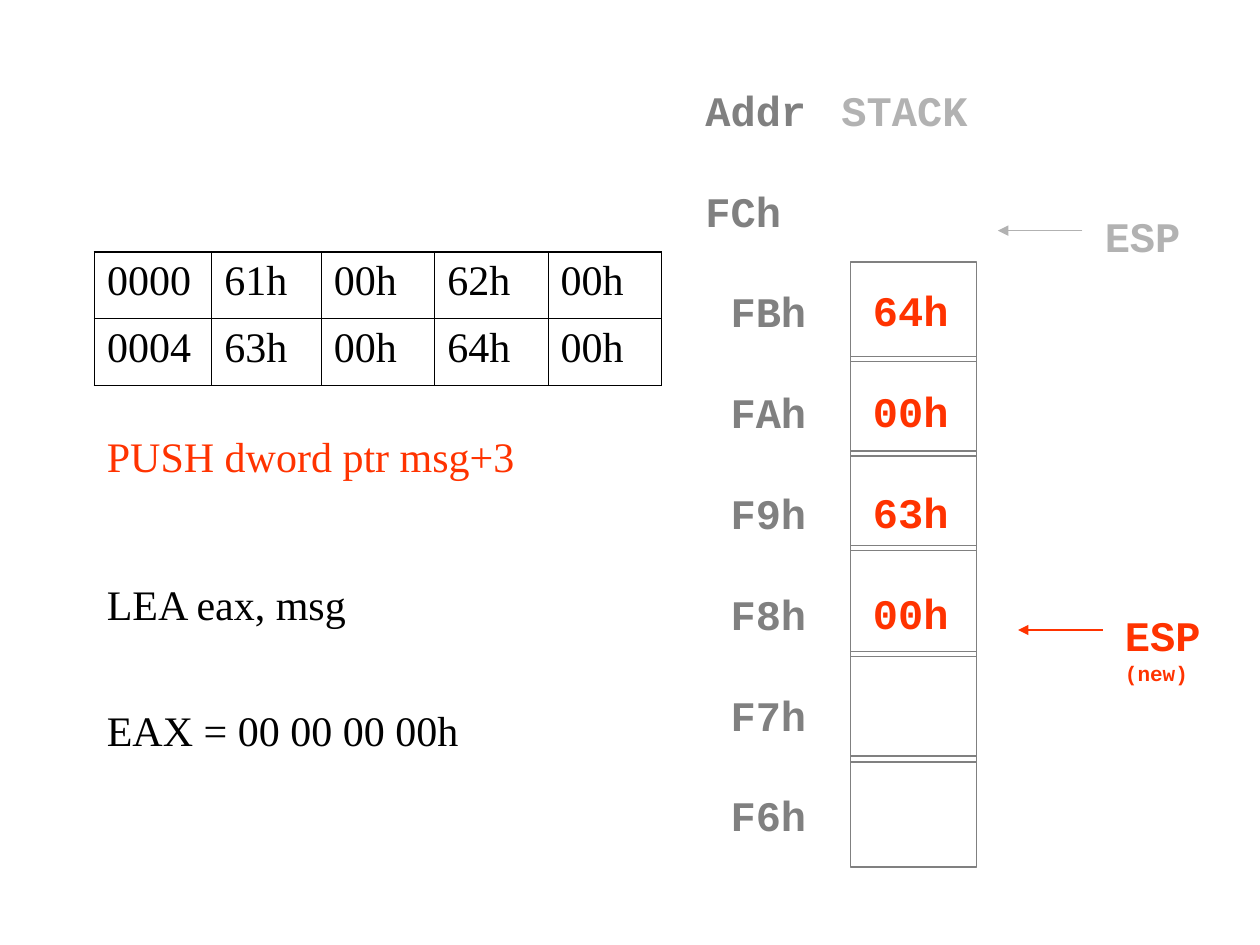
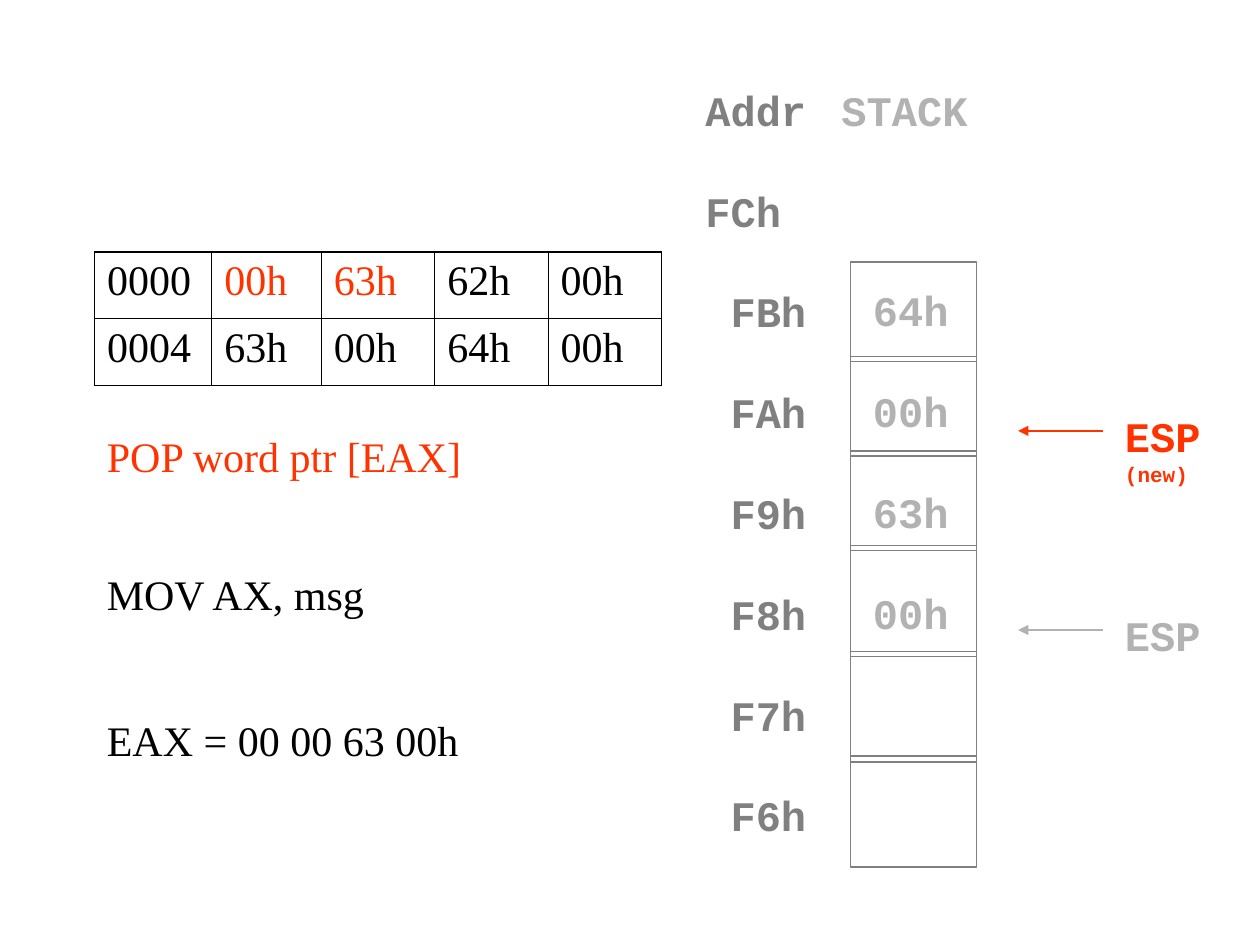
from dataclasses import dataclass

from lxml import etree
from pptx import Presentation
from pptx.dml.color import RGBColor
from pptx.enum.shapes import MSO_CONNECTOR, MSO_SHAPE
from pptx.oxml.ns import qn
from pptx.util import Inches, Pt

STRAIGHT = MSO_CONNECTOR.STRAIGHT
RECTANGLE = MSO_SHAPE.RECTANGLE


@dataclass(frozen=True)
class Theme:
    black: RGBColor = RGBColor(0x00, 0x00, 0x00)
    gray: RGBColor = RGBColor(0x80, 0x80, 0x80)
    faded: RGBColor = RGBColor(0xB2, 0xB2, 0xB2)
    accent: RGBColor = RGBColor(0xFF, 0x33, 0x00)
    serif: str = "Times New Roman"
    mono: str = "Courier New"
    body: int = 24
    small: int = 12
    line: float = 1
    outer_border: float = 1.08
    inner_border: float = 0.45
    leading: float = 1.2
    row_pitch: float = 57.6


THEME = Theme()
ADDRESSES = ["FBh", "FAh", "F9h", "F8h", "F7h", "F6h"]
STACK_BYTES = ["64h", "00h", "63h", "00h"]
CELL_TOPS = [0, 0.75, 1.5, 2.25, 3.09, 3.92]
CELL_HEIGHTS = [0.79] * 3 + [0.88] * 3
MEMORY_WIDTHS = [0.93, 0.87, 0.9, 0.9, 0.9]
MEMORY_ROW_HEIGHT = 0.53


def add_span(para, text, color, font, size=THEME.body):
    span = para.add_run()
    span.text = text
    span.font.name = font
    span.font.size = Pt(size)
    span.font.bold = font == THEME.mono
    span.font.color.rgb = color


def add_box(page, left, top, width, height):
    box = page.shapes.add_textbox(Inches(left), Inches(top), Inches(width), Inches(height))
    frame = box.text_frame
    frame.word_wrap = True
    frame.margin_top = Inches(0.09)
    frame.margin_right = 0
    return frame


def add_mono_line(frame, index, text, color, size=THEME.body, before=0):
    para = frame.add_paragraph() if index else frame.paragraphs[0]
    para.line_spacing = Pt(size * THEME.leading)
    if index and before:
        para.space_before = Pt(before)
    add_span(para, text, color, THEME.mono, size)
    return para


def add_mono_column(page, left, top, width, height, texts, color):
    frame = add_box(page, left, top, width, height)
    gap = THEME.row_pitch - THEME.body * THEME.leading
    return [add_mono_line(frame, index, text, color, before=gap)
            for index, text in enumerate(texts)]


def add_border(cell, side, width):
    line = etree.SubElement(cell._tc.get_or_add_tcPr(), qn(f"a:ln{side}"),
                            w=str(int(Pt(width))))
    fill = etree.SubElement(line, qn("a:solidFill"))
    etree.SubElement(fill, qn("a:srgbClr"), val=str(THEME.black))


def add_memory(page, left, top, rows, changed):
    last_row, last_column = len(rows) - 1, len(MEMORY_WIDTHS) - 1
    table = page.shapes.add_table(
        len(rows), len(MEMORY_WIDTHS), Inches(left), Inches(top),
        Inches(sum(MEMORY_WIDTHS)), Inches(MEMORY_ROW_HEIGHT * len(rows))).table
    table.first_row = False
    table.horz_banding = False
    for column, width in zip(table.columns, MEMORY_WIDTHS):
        column.width = Inches(width)
    for row_index, values in enumerate(rows):
        table.rows[row_index].height = Inches(MEMORY_ROW_HEIGHT)
        for column_index, value in enumerate(values):
            cell = table.cell(row_index, column_index)
            edges = {"L": column_index == 0, "R": column_index == last_column,
                     "T": row_index == 0, "B": row_index == last_row}
            for side, outer in edges.items():
                add_border(cell, side, THEME.outer_border if outer else THEME.inner_border)
            cell.fill.background()
            color = THEME.accent if (row_index, column_index) in changed else THEME.black
            add_span(cell.text_frame.paragraphs[0], value, color, THEME.serif)


def add_stack(page, left, top, byte_color):
    labels = add_mono_column(page, left, top, 1, 6.1, ["Addr", "FCh"] + ADDRESSES, THEME.gray)
    for para in labels[2:]:
        para._p.get_or_add_pPr().set("marL", str(Inches(0.2)))
    add_mono_column(page, left + 1.33, top + 1.59, 0.92, 4.5, STACK_BYTES, byte_color)
    for offset, height in zip(CELL_TOPS, CELL_HEIGHTS):
        cell = page.shapes.add_shape(RECTANGLE, Inches(left + 1.25), Inches(top + 1.5 + offset),
                                     Inches(1), Inches(height))
        cell.shadow.inherit = False
        cell.fill.background()
        cell.line.color.rgb = THEME.gray
        cell.line.width = Pt(THEME.line)
    add_mono_column(page, left + 1.08, top, 1.2, 0.5, ["STACK"], THEME.faded)


def add_pointer(page, left, middle, is_new):
    color = THEME.accent if is_new else THEME.faded
    arrow = page.shapes.add_connector(STRAIGHT, Inches(left + 0.67), Inches(middle),
                                      Inches(left), Inches(middle))
    arrow.line.color.rgb = color
    arrow.line.width = Pt(THEME.line)
    etree.SubElement(arrow.line._get_or_add_ln(), qn("a:tailEnd"), type="triangle")
    etree.SubElement(arrow._element.spPr, qn("a:effectLst"))
    frame = add_box(page, left + 0.75, middle - 0.25, 0.83, 0.7 if is_new else 0.5)
    add_mono_line(frame, 0, "ESP", color)
    if is_new:
        add_mono_line(frame, 1, "(new)", color, THEME.small)


def add_instruction(page, left, top, text, color):
    frame = add_box(page, left, top, 4, 0.5)
    add_span(frame.paragraphs[0], text, color, THEME.serif)


def add_step(deck, memory, changed, byte_color, pointers, instructions):
    page = deck.slides.add_slide(deck.slide_layouts[6])
    add_memory(page, 0.75, 2, memory, changed)
    add_stack(page, 5.5, 0.58, byte_color)
    for left, middle, is_new in pointers:
        add_pointer(page, left, middle, is_new)
    for index, (top, text) in enumerate(instructions):
        add_instruction(page, 0.75, top, text, THEME.black if index else THEME.accent)


def main():
    deck = Presentation()
    deck.slide_width, deck.slide_height = Inches(10), Inches(7.5)
    second_row = ["0004", "63h", "00h", "64h", "00h"]
    add_step(
        deck, [["0000", "61h", "00h", "62h", "00h"], second_row], set(), THEME.accent,
        [(7.92, 1.83, False), (8.08, 5, True)],
        [(3.33, "PUSH dword ptr msg+3"), (4.5, "LEA eax, msg"), (5.5, "EAX = 00 00 00 00h")])
    add_step(
        deck, [["0000", "00h", "63h", "62h", "00h"], second_row], {(0, 1), (0, 2)}, THEME.faded,
        [(8.08, 5, False), (8.08, 3.42, True)],
        [(3.33, "POP word ptr [EAX]"), (4.42, "MOV AX, msg"), (5.58, "EAX = 00 00 63 00h")])
    deck.save("out.pptx")


if __name__ == "__main__":
    main()
